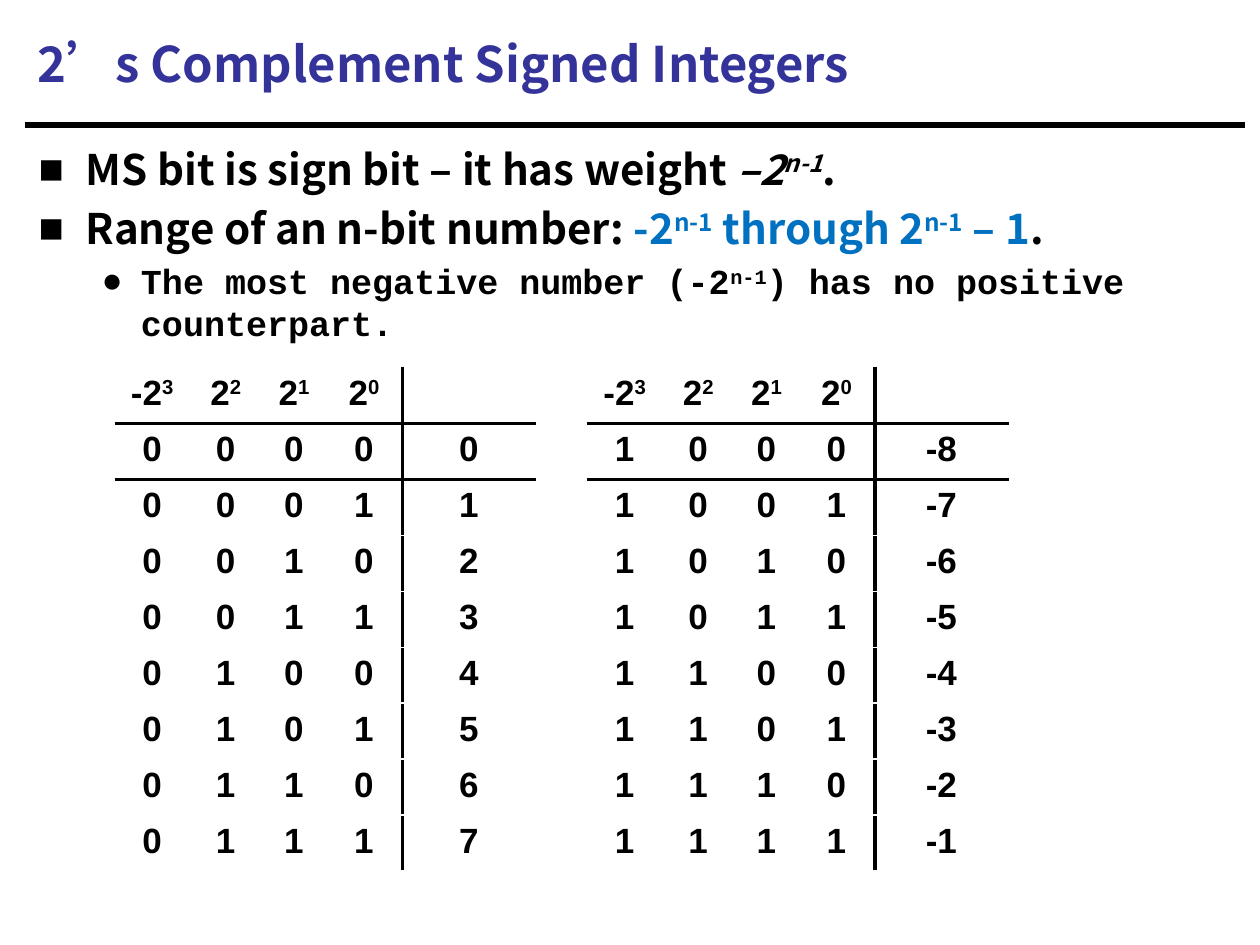
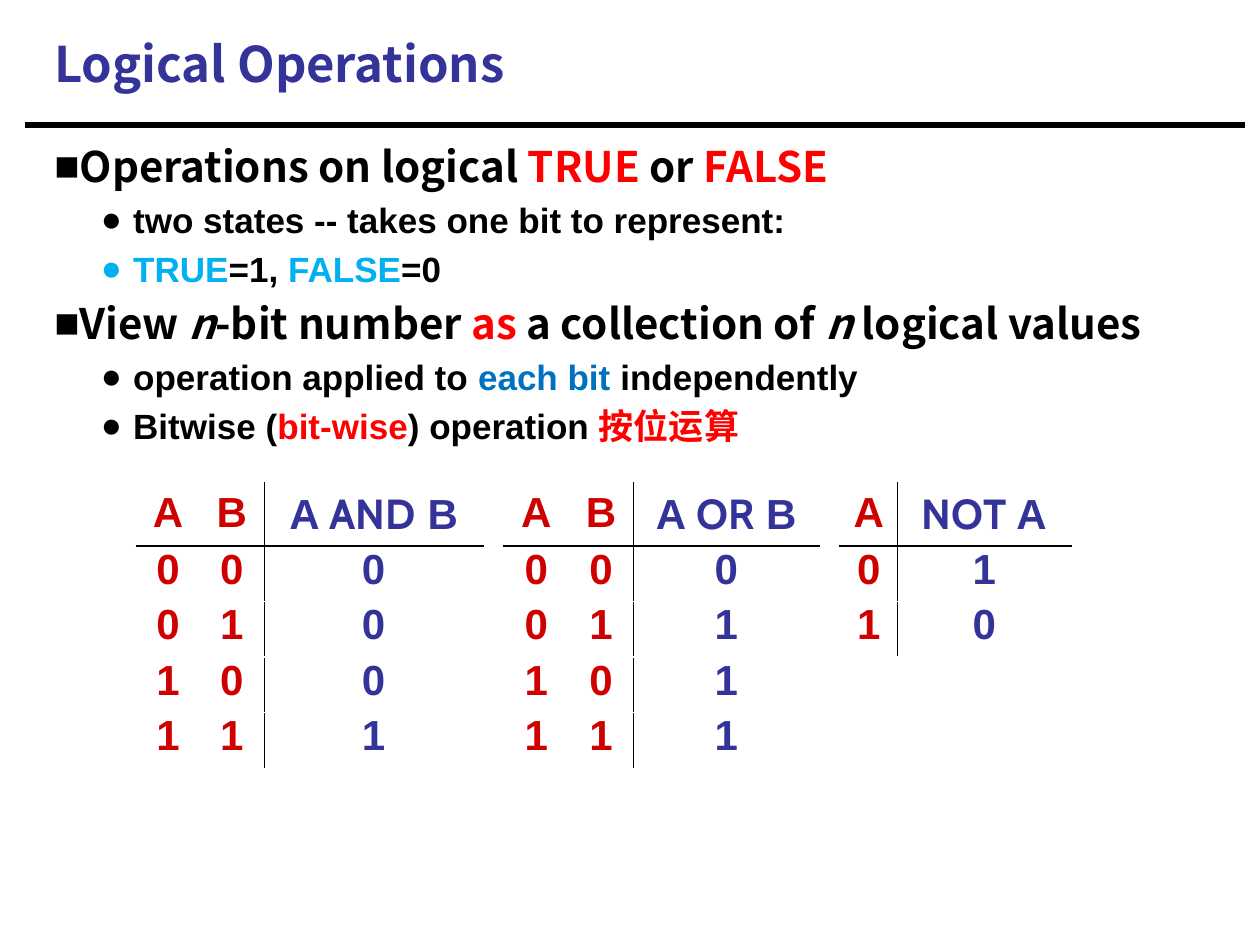
import itertools
import typing

import lxml.etree
import pptx
import pptx.dml.color
import pptx.enum.shapes
import pptx.enum.text
import pptx.oxml.ns
import pptx.util

Pt = pptx.util.Pt
qn = pptx.oxml.ns.qn

# Shared look
BLACK, NAVY, RED, CRIMSON = "000000", "333399", "FF0000", "CE0000"
BLUE, SKY = "0070C0", "00B0F0"
SANS, ARIAL, MONO, CABIN = "Noto Sans CJK SC", "Arial", "Courier New", "Cabin"


class Run(typing.NamedTuple):
    text: str
    color: str = BLACK
    raised: bool = False
    slant: bool = False
    font: str = ""


class Style(typing.NamedTuple):
    font: str
    size: float
    bullet: str = ""
    left: float = 0
    hang: float = 0


class Item(typing.NamedTuple):
    style: Style
    runs: list[Run]


class Grid(typing.NamedTuple):
    left: float
    top: float
    cols: list[float]
    head: float  # height of the header row
    row: float  # height of every other row
    size: float
    line: float  # width of the rules
    pitch: float  # line spacing below the header
    cells: list[list[list[Run]]]


TITLE = Style(SANS, 28)


def tint(code: str) -> pptx.dml.color.RGBColor:
    return pptx.dml.color.RGBColor.from_string(code)


def write(para, runs: list[Run], font: str, size: float) -> None:
    for part in runs:
        run = para.add_run()
        run.text = part.text
        run.font.name = part.font or font
        run.font.size = Pt(size)
        run.font.bold = True
        run.font.italic = part.slant
        run.font.color.rgb = tint(part.color)
        props = run.font._element
        if part.raised:
            props.set("baseline", "30000")
        lxml.etree.SubElement(props, qn("a:ea")).set("typeface", SANS)


def mark(para, style: Style) -> None:
    """Give a paragraph its indent and bullet."""
    props = para._p.get_or_add_pPr()
    props.set("marL", str(Pt(style.left)))
    props.set("indent", str(Pt(-style.hang)))
    lxml.etree.SubElement(props, qn("a:buFont")).set("typeface", ARIAL)
    lxml.etree.SubElement(props, qn("a:buChar")).set("char", style.bullet)


def add_text(slide, box: tuple, items: list[Item], middle: bool = False) -> None:
    frame = slide.shapes.add_textbox(*map(Pt, box)).text_frame
    frame.word_wrap = True
    if middle:
        frame.vertical_anchor = pptx.enum.text.MSO_ANCHOR.MIDDLE
    for num, item in enumerate(items):
        para = frame.add_paragraph() if num else frame.paragraphs[0]
        para.space_before = Pt(item.style.size * 0.2)
        if item.style.bullet:
            mark(para, item.style)
        write(para, item.runs, item.style.font, item.style.size)


def add_page(deck, title: str, left: float):
    """Start a slide with its title and the rule below it."""
    slide = deck.slides.add_slide(deck.slide_layouts[6])
    rule = slide.shapes.add_connector(
        pptx.enum.shapes.MSO_CONNECTOR.STRAIGHT, Pt(14.4), Pt(71.5), Pt(711.5), Pt(71.5))
    rule.line.color.rgb = tint(BLACK)
    rule.line.width = Pt(3.75)
    lxml.etree.SubElement(rule._element.spPr, qn("a:effectLst"))
    add_text(slide, (left, 6, 696, 60), [Item(TITLE, [Run(title, NAVY)])], True)
    return slide


def edge(cell, sides: str, width: float) -> None:
    """Draw the named sides, in the order L, R, T, B."""
    props = cell._tc.get_or_add_tcPr()
    for side in sides:
        line = lxml.etree.SubElement(props, qn(f"a:ln{side}"), w=str(Pt(width)))
        fill = lxml.etree.SubElement(line, qn("a:solidFill"))
        lxml.etree.SubElement(fill, qn("a:srgbClr")).set("val", BLACK)


def add_grid(slide, grid: Grid) -> None:
    rows, cols = len(grid.cells), len(grid.cols)
    high = grid.head + grid.row * (rows - 1)
    table = slide.shapes.add_table(
        rows, cols, Pt(grid.left), Pt(grid.top), Pt(sum(grid.cols)), Pt(high)).table
    table.first_row = table.horz_banding = False
    for col, width in zip(table.columns, grid.cols):
        col.width = Pt(width)
    for num, row in enumerate(table.rows):
        row.height = Pt(grid.row if num else grid.head)
    for r, c in itertools.product(range(rows), range(cols)):
        cell = table.cell(r, c)
        # One rule under the header, one before the result column
        sides = {cols - 1: "L", cols - 2: "R"}.get(c, "") + {0: "B", 1: "T"}.get(r, "")
        edge(cell, sides, grid.line)
        cell.fill.background()
        para = cell.text_frame.paragraphs[0]
        para.alignment = pptx.enum.text.PP_ALIGN.CENTER
        if r and grid.pitch != 1:
            para.line_spacing = grid.pitch
        write(para, grid.cells[r][c], ARIAL, grid.size)


def bit_grid(left: float, start: int) -> Grid:
    """List eight four-bit patterns with their signed values."""
    head = [[Run(base), Run(power, raised=True)]
            for base, power in zip(["-2", "2", "2", "2"], "3210")]
    cells = [head + [[]]]
    for value in range(start, start + 8):
        bits = format(value & 15, "04b")
        cells.append([[Run(text)] for text in [*bits, str(value)]])
    return Grid(left, 210, [42, 42, 36, 44, 76], 32, 32, 20, 2.25, 1, cells)


def truth_grid(left: float, cols: list[float], head: list[Run],
               rule: typing.Callable[..., int]) -> Grid:
    """Work out the truth table of a logical rule."""
    names = "AB"[:len(cols) - 1]
    cells = [[[Run(name, CRIMSON)] for name in names] + [head]]
    for bits in itertools.product((0, 1), repeat=len(names)):
        cells.append([[Run(str(bit), CRIMSON)] for bit in bits]
                     + [[Run(str(rule(*bits)), NAVY)]])
    return Grid(left, 276, cols, 36, 31.75, 24, 1, 0.85, cells)


def add_signed(deck) -> None:
    slide = add_page(deck, "2’s Complement Signed Integers", 14.4)
    main = Style(SANS, 24, "■", 27, 27)
    sub = Style(MONO, 20, "●", 58.5, 22.5)
    add_text(slide, (15, 78.5, 689, 123), [
        Item(main, [Run("MS bit is sign bit – it has weight "), Run("–2", slant=True),
                    Run("n-1", raised=True, slant=True), Run(".")]),
        Item(main, [Run("Range of an n-bit number: "), Run("-2", BLUE),
                    Run("n-1", BLUE, True), Run(" through 2", BLUE),
                    Run("n-1", BLUE, True), Run(" – 1", BLUE), Run(".")]),
        Item(sub, [Run("The most negative number (-2"), Run("n-1", raised=True),
                   Run(") has no positive counterpart.")]),
    ])
    for left, start in ((66, 0), (336, -8)):
        add_grid(slide, bit_grid(left, start))


def add_logic(deck) -> None:
    slide = add_page(deck, "Logical Operations", 24)
    main = Style(SANS, 24, "■")
    sub = Style(ARIAL, 20, "●", 45, 18.5)
    add_text(slide, (24, 77, 696, 431), [
        Item(main, [Run("Operations on logical "), Run("TRUE", RED), Run(" or "),
                    Run("FALSE", RED)]),
        Item(sub, [Run("two states -- takes one bit to represent:")]),
        Item(sub, [Run("TRUE", SKY), Run("=1, "), Run("FALSE", SKY), Run("=0")]),
        Item(main, [Run("View "), Run("n", slant=True), Run("-bit number "),
                    Run("as", RED), Run(" a collection of "), Run("n", slant=True),
                    Run(" logical values")]),
        Item(sub, [Run("operation applied to "), Run("each bit ", BLUE),
                   Run("independently")]),
        Item(sub, [Run("Bitwise ("), Run("bit-wise", RED), Run(") operation "),
                   Run("按位运算", RED)]),
    ])
    first, last = Run("A ", NAVY), Run(" B", NAVY)
    for grid in (
        truth_grid(78, [36, 37, 125], [first, Run("AND", NAVY, font=CABIN), last],
                   lambda a, b: a & b),
        truth_grid(288, [37, 37, 106], [first, Run("OR", NAVY, font=CABIN), last],
                   lambda a, b: a | b),
        truth_grid(480, [33, 99], [Run("NOT", NAVY, font=CABIN), Run(" A", NAVY)],
                   lambda a: 1 - a),
    ):
        add_grid(slide, grid)


def main() -> None:
    deck = pptx.Presentation()
    deck.slide_width, deck.slide_height = Pt(720), Pt(540)
    add_signed(deck)
    add_logic(deck)
    deck.save("out.pptx")


if __name__ == "__main__":
    main()
